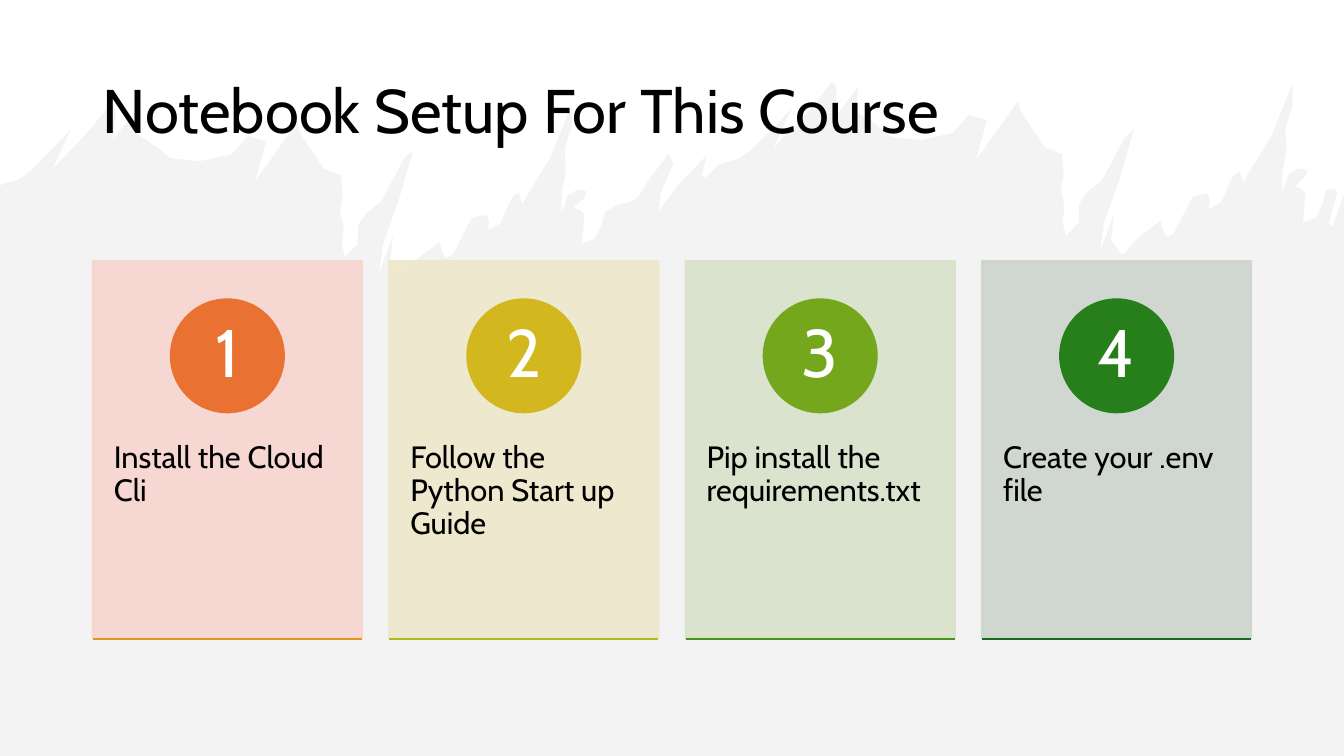
from pptx import Presentation
from pptx.dml.color import RGBColor
from pptx.enum.shapes import MSO_CONNECTOR, MSO_SHAPE
from pptx.enum.text import MSO_ANCHOR, MSO_AUTO_SIZE, PP_ALIGN
from pptx.oxml.ns import qn
from pptx.util import Inches, Pt
from lxml import etree

RECTANGLE, OVAL = MSO_SHAPE.RECTANGLE, MSO_SHAPE.OVAL
STRAIGHT = MSO_CONNECTOR.STRAIGHT
TOP, MIDDLE = MSO_ANCHOR.TOP, MSO_ANCHOR.MIDDLE
LEFT, CENTER = PP_ALIGN.LEFT, PP_ALIGN.CENTER
NO_FIT = MSO_AUTO_SIZE.NONE

# Content
TITLE = "Notebook Setup For This Course"
# text, card colour, circle colour, baseline colour
STEPS = [
    ("Install the Cloud Cli", "F7D5CE", "E97132", "E49622"),
    ("Follow the Python Start up Guide", "EEE7CB", "D2B81E", "ABBC1E"),
    ("Pip install the requirements.txt", "D8E2CA", "75A71D", "49931D"),
    ("Create your .env file", "CCD4CD", "277F1B", "196B24"),
]
FONT = "Cabin"

# Brush edge: one ragged stroke, used twice with a shift
STROKE = [
    (0.17, 1.79), (0.3, 1.7), (0.7, 1.29), (0.52, 1.68), (0.9, 1.28), (1.05, 1.09),
    (1.09, 1.03), (1.13, 1.04), (1.15, 1.12), (1.12, 1.39), (1.37, 1.06), (1.33, 1.31),
    (1.44, 1.38), (1.6, 1.49), (1.69, 1.57), (1.98, 1.6), (2.3, 1.53), (2.46, 1.35),
    (2.64, 1.4), (2.53, 1.8), (2.95, 1.21), (2.97, 1.31), (3.21, 1.67), (3.38, 1.74),
    (3.4, 1.94), (3.37, 2.09), (3.41, 2.27), (3.39, 2.42), (3.42, 2.55), (3.55, 2.42),
    (3.55, 2.24), (3.63, 2.12), (3.78, 2), (4.01, 1.57), (4.1, 1.49), (3.95, 2),
    (3.8, 2.42), (3.76, 2.71), (3.9, 2.33), (3.87, 2.59), (3.97, 2.73), (4, 2.73),
    (4.09, 2.62), (4.15, 2.56), (4.36, 2.4), (4.39, 2.51), (4.43, 2.56), (4.49, 2.53),
    (4.68, 2.16), (4.83, 2.13), (4.85, 2.2), (4.84, 2.28), (4.96, 2.22), (5.08, 1.96),
    (5.14, 1.91), (5.17, 1.98), (5.18, 2.02), (5.46, 1.56), (5.67, 1.04), (5.67, 1.26),
    (5.6, 1.48), (5.61, 1.71), (5.57, 1.93), (5.57, 2.12), (5.63, 1.94), (5.73, 1.88),
    (5.82, 1.9), (5.79, 1.97), (5.69, 2.06), (5.75, 2.08), (5.8, 2.13), (5.77, 2.42),
    (5.9, 2.37), (5.97, 2.23), (6, 2.1),
]
SHIFT_X, SHIFT_Y = 7.15, -0.21
START = [(0, 1.84), (0.07, 1.81)]
JOIN = [
    (6.06, 2.07), (6.1, 2.04), (6.27, 2), (6.34, 1.94), (6.43, 1.79), (6.63, 1.53),
    (6.68, 1.62), (6.56, 1.9), (6.53, 2.1), (6.74, 1.82), (7.01, 1.54), (6.96, 1.75),
    (7, 1.76), (7.13, 1.63),
]
END = [(13.24, 1.87), (13.26, 1.92), (13.18, 2.21), (13.21, 2.26), (13.33, 1.93),
       (13.33, 7.5), (0, 7.5)]

# Layout
CARD_LEFT, CARD_TOP, CARD_WIDTH, CARD_HEIGHT = 0.92, 2.59, 2.67, 3.74
CARD_PITCH = 2.94
CIRCLE_TOP, CIRCLE_SIZE = 2.97, 1.12
TEXT_TOP, TEXT_HEIGHT = 4.02, 2.25
BASELINE_TOP = 6.34


def color(value):
    return RGBColor.from_string(value)


def box_at(*lengths):
    return [Inches(length) for length in lengths]


def paint(shape, value, opacity=100, line=True):
    shape.shadow.inherit = False
    shape.fill.solid()
    shape.fill.fore_color.rgb = color(value)
    if line:
        shape.line.color.rgb = color(value)
        shape.line.width = Pt(1.5)
    else:
        shape.line.fill.background()
    if opacity < 100:
        for fill in shape.element.spPr.iter(qn("a:srgbClr")):
            etree.SubElement(fill, qn("a:alpha"), val=str(opacity * 1000))


def write(shape, text, size, value, align=LEFT, anchor=TOP, inset=(0.1, 0.05)):
    across, down = box_at(*inset)
    frame = shape.text_frame
    frame_format = {
        "word_wrap": True, "auto_size": NO_FIT, "vertical_anchor": anchor,
        "margin_left": across, "margin_right": across,
        "margin_top": down, "margin_bottom": down,
    }
    for name, setting in frame_format.items():
        setattr(frame, name, setting)
    para = frame.paragraphs[0]
    para.alignment, para.line_spacing = align, 0.9
    span = para.add_run()
    span.text = text
    span.font.name, span.font.size = FONT, Pt(size)
    span.font.color.rgb = color(value)


def add_brush(page):
    shifted = [(x + SHIFT_X, y + SHIFT_Y) for x, y in STROKE]
    points = [box_at(x, y) for x, y in START + STROKE + JOIN + shifted + END]
    builder = page.shapes.build_freeform(*points[0])
    builder.add_line_segments(points[1:], close=True)
    brush = builder.convert_to_shape()
    paint(brush, "E8E8E8", opacity=50, line=False)
    return brush


def add_title(page):
    title = page.shapes.title
    title.left, title.top, title.width, title.height = box_at(0.92, 0.4, 11.5, 1.45)
    write(title, TITLE, 44, "000000", anchor=MIDDLE)
    return title


def add_step(shapes, index, text, card_color, circle_color, line_color):
    left = CARD_LEFT + index * CARD_PITCH

    card = shapes.add_shape(RECTANGLE, *box_at(left, CARD_TOP, CARD_WIDTH, CARD_HEIGHT))
    paint(card, card_color, opacity=90)

    label = shapes.add_textbox(*box_at(left, TEXT_TOP, CARD_WIDTH, TEXT_HEIGHT))
    write(label, text, 22, "000000", inset=(0.21, 0.36))

    circle_left = left + (CARD_WIDTH - CIRCLE_SIZE) / 2
    circle = shapes.add_shape(
        OVAL, *box_at(circle_left, CIRCLE_TOP, CIRCLE_SIZE, CIRCLE_SIZE))
    paint(circle, circle_color)
    write(circle, str(index + 1), 48, "FFFFFF", CENTER, MIDDLE, (0.09, 0.01))

    baseline = shapes.add_connector(
        STRAIGHT, *box_at(left, BASELINE_TOP, left + CARD_WIDTH, BASELINE_TOP))
    baseline.line.color.rgb = color(line_color)
    baseline.line.width = Pt(1.5)
    etree.SubElement(baseline.element.spPr, qn("a:effectLst"))


def main():
    deck = Presentation()
    deck.slide_width, deck.slide_height = box_at(13.33, 7.5)
    page = deck.slides.add_slide(deck.slide_layouts[5])

    # Title, with the brush edge behind it
    title = add_title(page)
    title.element.addprevious(add_brush(page).element)

    # Step cards
    steps = page.shapes.add_group_shape()
    for index, step in enumerate(STEPS):
        add_step(steps.shapes, index, *step)

    deck.save("out.pptx")


if __name__ == "__main__":
    main()
